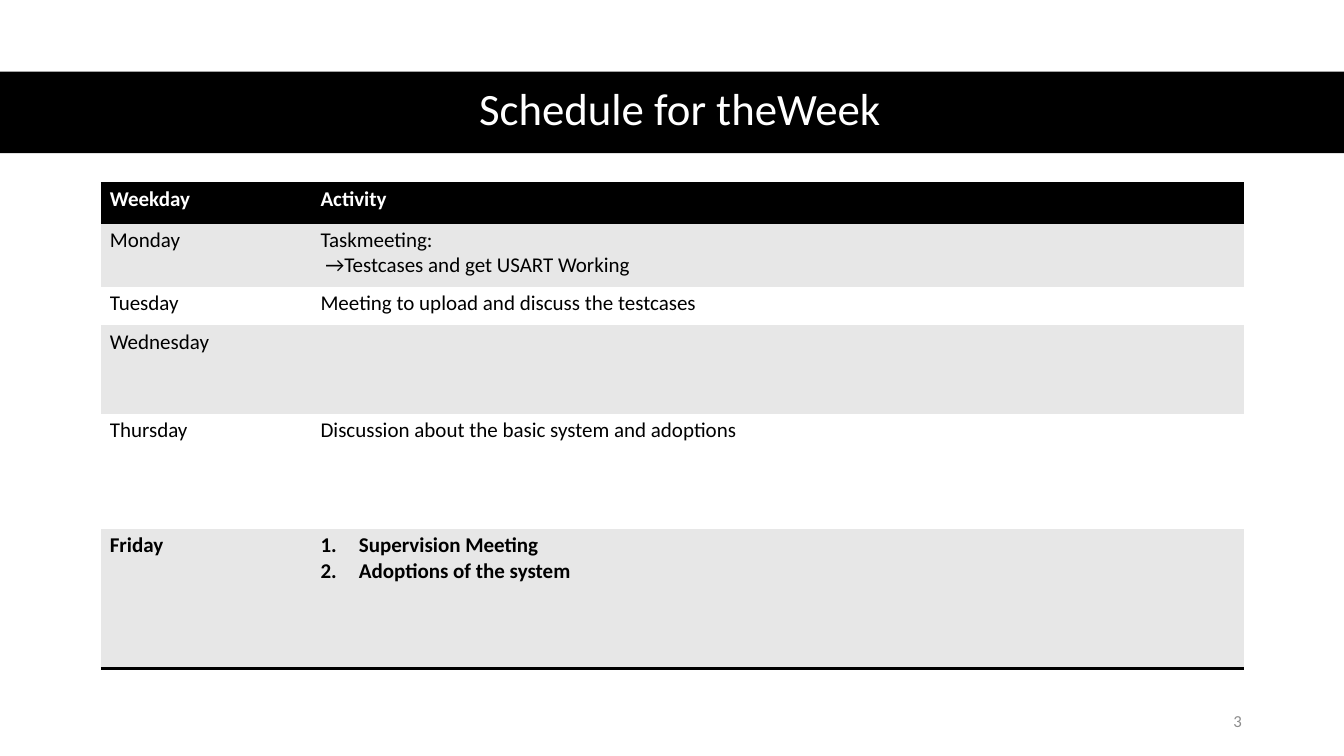
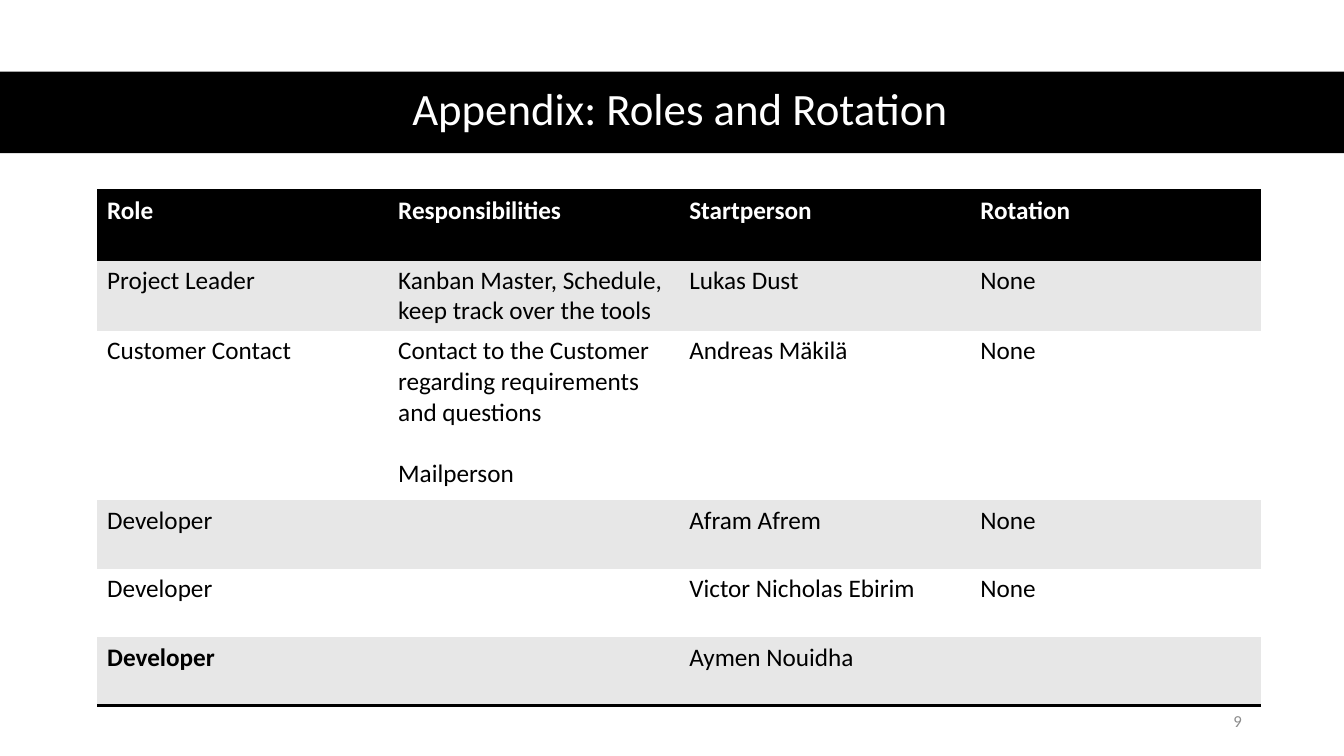
"""Build two banded table slides: a weekly schedule and a list of roles."""
from dataclasses import dataclass

from lxml import etree
from pptx import Presentation, util as u
from pptx.dml.color import RGBColor
from pptx.enum import shapes, text
from pptx.oxml.ns import qn

COLORS = {"black": "000000", "white": "FFFFFF", "stripe": "E7E7E7", "number": "8C8C8C"}
FONT = "Calibri"
NO_STYLE = "{2D5ABB26-0587-4C30-8999-92F81FD0307C}"
TITLE_ONLY = 5
BAND = (0, 9.47, 100, 10.8)
TITLE = (4.6, 9.33, 92, 10.8)
NUMBER = (70.65, 92.67, 22.5, 5.33)


@dataclass(frozen=True)
class Cell:
    lines: tuple[str, ...] = ()
    bold: bool = False
    numbered: bool = False
    gap: int = 0


@dataclass(frozen=True)
class TableSlide:
    title: str
    number: int
    left: float
    top: float
    cols: tuple[float, ...]
    heights: tuple[float, ...]
    size: int
    margins: tuple[float, float]
    rows: tuple[tuple[Cell, ...], ...]


def row(*words: str) -> tuple[Cell, ...]:
    return tuple(Cell((word,) if word else ()) for word in words)


def header(*words: str) -> tuple[Cell, ...]:
    return tuple(Cell((word,), bold=True) for word in words)


SCHEDULE = TableSlide(
    "Schedule for theWeek", 3, 7.5, 24.2, (15.68, 69.38),
    (5.33, 8.4, 5.07, 11.73, 15.2, 18.53), 15, (0.09, 0.04),
    (
        header("Weekday", "Activity"),
        (Cell(("Monday",)), Cell(("Taskmeeting:", " →Testcases and get USART Working"))),
        row("Tuesday", "Meeting to upload and discuss the testcases"),
        row("Wednesday", ""),
        row("Thursday", "Discussion about the basic system and adoptions"),
        (Cell(("Friday",), bold=True),
         Cell(("Supervision Meeting", "Adoptions of the system"), bold=True, numbered=True)),
    ),
)
ROLES = TableSlide(
    "Appendix: Roles and Rotation", 9, 7.22, 25.2, (21.66,) * 4,
    (9.2, 9.2, 22.4, 9.07, 9.07, 9.07), 18, (0.1, 0.05),
    (
        header("Role", "Responsibilities", "Startperson", "Rotation"),
        row("Project Leader", "Kanban Master, Schedule, keep track over the tools",
            "Lukas Dust", "None"),
        (Cell(("Customer Contact",)),
         Cell(("Contact to the Customer regarding requirements and questions", "Mailperson"),
              gap=22),
         *row("Andreas Mäkilä", "None")),
        row("Developer", "", "Afram Afrem", "None"),
        row("Developer", "", "Victor Nicholas Ebirim", "None"),
        (Cell(("Developer",), bold=True), *row("", "Aymen Nouidha", "")),
    ),
)


def rgb(name: str) -> RGBColor:
    return RGBColor.from_string(COLORS[name])


def across(prs, share: float) -> int:
    return round(prs.slide_width * share / 100)


def down(prs, share: float) -> int:
    return round(prs.slide_height * share / 100)


def box(prs, area: tuple[float, ...]) -> tuple[int, ...]:
    x, y, w, h = area
    return across(prs, x), down(prs, y), across(prs, w), down(prs, h)


def set_font(p, size: int, color: str, bold: bool = False) -> None:
    p.font.name, p.font.size, p.font.bold = FONT, u.Pt(size), bold
    p.font.color.rgb = rgb(color)


def add_border(tc_pr, tag: str, index: int) -> None:
    ln = etree.Element(qn(tag), w=str(u.Pt(2)))
    fill = etree.SubElement(ln, qn("a:solidFill"))
    etree.SubElement(fill, qn("a:srgbClr"), val=COLORS["black"])
    tc_pr.insert(index, ln)


def number_paragraph(p) -> None:
    p_pr = p._p.get_or_add_pPr()
    indent = u.Inches(0.38)
    p_pr.set("marL", str(indent))
    p_pr.set("indent", str(-indent))
    etree.SubElement(p_pr, qn("a:buFont"), typeface="+mj-lt")
    etree.SubElement(p_pr, qn("a:buAutoNum"), type="arabicPeriod")


def fill_cell(cell, content: Cell, size: int, color: str) -> None:
    tf = cell.text_frame
    tf.text = "\n".join(content.lines)
    for i, p in enumerate(tf.paragraphs):
        if i and content.gap:
            p.space_before = u.Pt(content.gap)
        if content.numbered:
            number_paragraph(p)
        set_font(p, size, color, content.bold)


def add_grid(prs, s, spec: TableSlide) -> None:
    area = (spec.left, spec.top, sum(spec.cols), sum(spec.heights))
    table = s.shapes.add_table(len(spec.rows), len(spec.cols), *box(prs, area)).table
    table.horz_banding = False
    table.first_row = False
    table._tbl.tblPr.find(qn("a:tableStyleId")).text = NO_STYLE
    for col, share in zip(table.columns, spec.cols):
        col.width = across(prs, share)
    side, edge = map(u.Inches, spec.margins)
    last = len(spec.rows) - 1
    for i, (contents, share) in enumerate(zip(spec.rows, spec.heights)):
        table.rows[i].height = down(prs, share)
        shade = "black" if i == 0 else "stripe" if i % 2 else "white"
        for j, content in enumerate(contents):
            cell = table.cell(i, j)
            cell.margin_left = cell.margin_right = side
            cell.margin_top = cell.margin_bottom = edge
            cell.fill.solid()
            cell.fill.fore_color.rgb = rgb(shade)
            fill_cell(cell, content, spec.size, "white" if i == 0 else "black")
            if i in (0, last):
                tc_pr = cell._tc.get_or_add_tcPr()
                add_border(tc_pr, "a:lnB", 0)
                if i == 0:
                    add_border(tc_pr, "a:lnT", 0)


def add_frame(prs, s, spec: TableSlide) -> None:
    band = s.shapes.add_shape(shapes.MSO_SHAPE.RECTANGLE, *box(prs, BAND))
    band.shadow.inherit = False
    band.fill.solid()
    band.fill.fore_color.rgb = rgb("black")
    band.line.fill.background()

    title = s.shapes.title
    s.shapes._spTree.append(title._element)
    title.left, title.top, title.width, title.height = box(prs, TITLE)
    tf = title.text_frame
    tf.text = spec.title
    tf.vertical_anchor = text.MSO_ANCHOR.MIDDLE
    p = tf.paragraphs[0]
    p.alignment, p.line_spacing = text.PP_ALIGN.CENTER, 0.9
    set_font(p, 32, "white")

    tf = s.shapes.add_textbox(*box(prs, NUMBER)).text_frame
    tf.word_wrap = True
    tf.vertical_anchor = text.MSO_ANCHOR.MIDDLE
    p = tf.paragraphs[0]
    p.text = str(spec.number)
    p.alignment = text.PP_ALIGN.RIGHT
    set_font(p, 12, "number")


def main() -> None:
    prs = Presentation()
    prs.slide_width, prs.slide_height = u.Inches(13.33), u.Inches(7.5)
    for spec in (SCHEDULE, ROLES):
        s = prs.slides.add_slide(prs.slide_layouts[TITLE_ONLY])
        add_frame(prs, s, spec)
        add_grid(prs, s, spec)
    prs.save("out.pptx")


if __name__ == "__main__":
    main()
